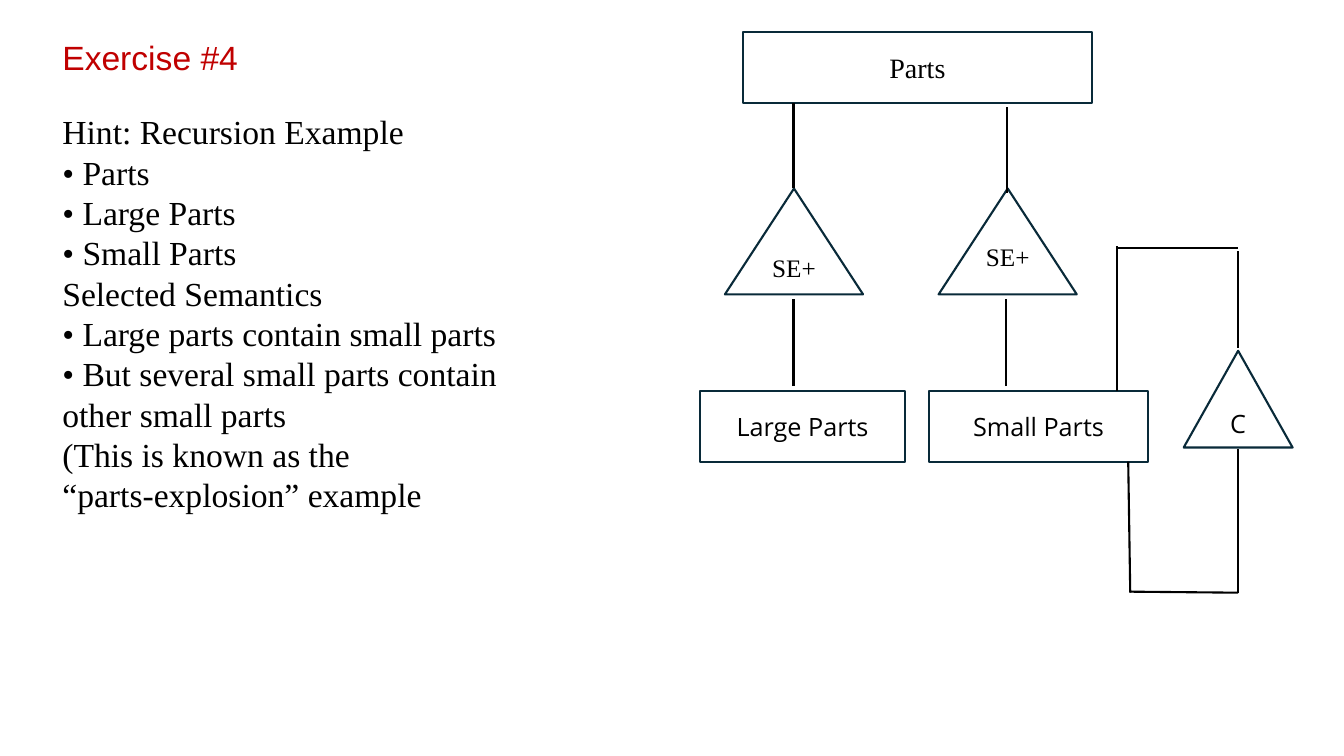
from dataclasses import dataclass

from lxml import etree
from pptx import Presentation
from pptx import util as u
from pptx.dml.color import RGBColor
from pptx.enum import shapes, text
from pptx.oxml import ns

PX = 9144  # EMU in one px: 100 px to the inch


def emu(px: int) -> u.Emu:
    return u.Emu(px * PX)


@dataclass(frozen=True)
class Theme:
    title_color: RGBColor = RGBColor(0xC0, 0x00, 0x00)
    ink: RGBColor = RGBColor(0x00, 0x00, 0x00)
    paper: RGBColor = RGBColor(0xFF, 0xFF, 0xFF)
    outline: RGBColor = RGBColor(0x09, 0x2A, 0x39)
    heading: str = "Arial"
    serif: str = "Times New Roman"
    sans: str = "Open Sans"
    body_size: int = 24
    root_size: int = 20
    node_size: int = 18
    line_width: float = 1.5


THEME = Theme()
RECT = shapes.MSO_SHAPE.RECTANGLE
TRIANGLE = shapes.MSO_SHAPE.ISOSCELES_TRIANGLE


@dataclass(frozen=True)
class Node:
    label: str
    kind: shapes.MSO_SHAPE
    left: int
    top: int
    width: int
    height: int
    font: str
    size: int = THEME.node_size
    raised: bool = False


@dataclass(frozen=True)
class Link:
    x1: int
    y1: int
    x2: int
    y2: int


TITLE = "Exercise #4"
HINTS = (
    "Hint: Recursion Example",
    "• Parts",
    "• Large Parts",
    "• Small Parts",
    "Selected Semantics",
    "• Large parts contain small parts",
    "• But several small parts contain",
    "other small parts",
    "(This is known as the",
    "“parts-explosion” example",
)

NODES = (
    Node("Parts", RECT, 737, 32, 346, 70, THEME.serif, THEME.root_size),
    Node("SE+", TRIANGLE, 719, 187, 137, 105, THEME.serif),
    Node("SE+", TRIANGLE, 931, 187, 137, 105, THEME.serif, raised=True),
    Node("Large Parts", RECT, 694, 388, 204, 70, THEME.sans),
    Node("Small Parts", RECT, 921, 388, 218, 70, THEME.sans),
    Node("C", TRIANGLE, 1174, 348, 108, 96, THEME.sans),
)

LINKS = (
    # Subset branches
    Link(787, 187, 787, 102),
    Link(787, 383, 787, 297),
    Link(999, 191, 999, 106),
    Link(998, 383, 998, 297),
    # Recursive loop of small parts
    Link(1108, 388, 1108, 244),
    Link(1107, 246, 1228, 246),
    Link(1228, 345, 1228, 249),
    Link(1228, 588, 1228, 445),
    Link(1121, 587, 1228, 588),
    Link(1121, 588, 1119, 458),
)


def add_span(para, words: str, font: str, size: int, color: RGBColor) -> None:
    span = para.add_run()
    span.text = words
    span.font.name = font
    span.font.size = u.Pt(size)
    span.font.color.rgb = color


def add_hints(page) -> None:
    box = page.shapes.add_textbox(emu(52), emu(32), emu(455), emu(485))
    frame = box.text_frame
    frame.word_wrap = False
    frame.auto_size = text.MSO_AUTO_SIZE.SHAPE_TO_FIT_TEXT
    add_span(frame.paragraphs[0], TITLE, THEME.heading, THEME.body_size, THEME.title_color)
    for index, hint in enumerate(HINTS):
        para = frame.add_paragraph()
        if index == 0:
            para.space_before = u.Pt(24)
        add_span(para, hint, THEME.serif, THEME.body_size, THEME.ink)


def add_node(page, node: Node) -> None:
    shape = page.shapes.add_shape(
        node.kind, emu(node.left), emu(node.top), emu(node.width), emu(node.height)
    )
    shape.shadow.inherit = False
    shape.fill.solid()
    shape.fill.fore_color.rgb = THEME.paper
    shape.line.color.rgb = THEME.outline
    shape.line.width = u.Pt(THEME.line_width)
    frame = shape.text_frame
    frame.word_wrap = True
    frame.vertical_anchor = text.MSO_ANCHOR.MIDDLE
    if node.raised:
        frame.vertical_anchor = text.MSO_ANCHOR.TOP
        frame.margin_top = 0
    para = frame.paragraphs[0]
    para.alignment = text.PP_ALIGN.CENTER
    add_span(para, node.label, node.font, node.size, THEME.ink)


def add_link(page, link: Link) -> None:
    line = page.shapes.add_connector(
        shapes.MSO_CONNECTOR.STRAIGHT,
        emu(link.x1), emu(link.y1), emu(link.x2), emu(link.y2),
    )
    line.line.color.rgb = THEME.ink
    line.line.width = u.Pt(THEME.line_width)
    etree.SubElement(line._element.spPr, ns.qn("a:effectLst"))


def main() -> None:
    deck = Presentation()
    deck.slide_width, deck.slide_height = emu(1333), emu(750)
    page = deck.slides.add_slide(deck.slide_layouts[6])

    # Exercise text on the left
    add_hints(page)

    # Parts diagram on the right
    for node in NODES:
        add_node(page, node)
    for link in LINKS:
        add_link(page, link)

    deck.save("out.pptx")


if __name__ == "__main__":
    main()
